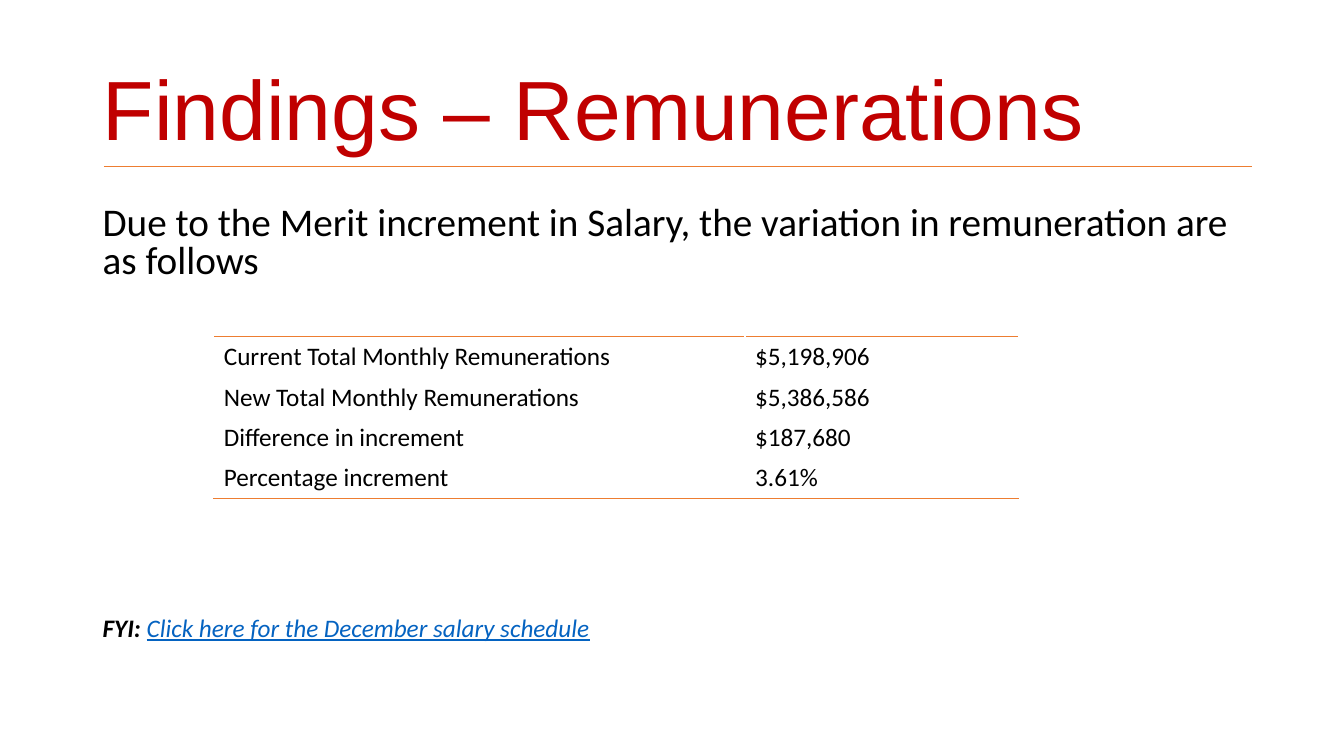
from lxml.etree import SubElement
from pptx import Presentation
from pptx.dml.color import RGBColor
from pptx.enum.shapes import MSO_CONNECTOR as Connector
from pptx.enum.text import MSO_ANCHOR as Anchor, MSO_AUTO_SIZE as AutoSize, PP_ALIGN as Align
from pptx.oxml import parse_xml
from pptx.oxml.ns import nsdecls, qn
from pptx.util import Inches, Pt

ORANGE = "ED7D31"
BODY = {"name": "Calibri", "size": Pt(18), "color": "000000"}
LEAD = BODY | {"size": Pt(28)}
HEADING = {"name": "Arial", "size": Pt(60), "color": "C00000", "bold": False}
FYI = BODY | {"bold": True, "italic": True}
SCHEDULE = BODY | {"color": "0563C1", "italic": True, "underline": True}


def rgb(value):
    return RGBColor.from_string(value)


def set_format(target, values):
    for key, value in values.items():
        if key == "color":
            target.color.rgb = rgb(value)
        else:
            setattr(target, key, value)


class SlideBuilder:
    def __init__(self, deck):
        self.slide = deck.slides.add_slide(deck.slide_layouts[5])

    def add_runs(self, paragraph, runs, **layout):
        set_format(paragraph, {"alignment": Align.LEFT} | layout)
        for wording, style in runs:
            run = paragraph.add_run()
            run.text = wording
            set_format(run.font, style)

    def title(self, wording, box):
        heading = self.slide.shapes.title
        set_format(heading, dict(zip(("left", "top", "width", "height"), map(Inches, box))))
        set_format(heading.text_frame, {"vertical_anchor": Anchor.MIDDLE, "word_wrap": True,
                                        "auto_size": AutoSize.NONE})
        self.add_runs(heading.text_frame.paragraphs[0], [(wording, HEADING)], line_spacing=0.9)

    def text(self, paragraphs, box):
        frame = self.slide.shapes.add_textbox(*map(Inches, box)).text_frame
        frame.word_wrap = True
        for index, (runs, gap) in enumerate(paragraphs):
            paragraph = frame.add_paragraph() if index else frame.paragraphs[0]
            self.add_runs(paragraph, runs, line_spacing=0.8, space_before=Pt(gap))

    def rule(self, left, right, top):
        rule = self.slide.shapes.add_connector(
            Connector.STRAIGHT, *map(Inches, (left, top, right, top)))
        set_format(rule.line, {"width": Pt(0.5), "color": ORANGE})
        SubElement(rule._element.spPr, qn("a:effectLst"))

    def border(self, cell, side):
        cell._tc.get_or_add_tcPr().insert(0, parse_xml(
            f'<a:ln{side} {nsdecls("a")} w="{Pt(1)}"><a:solidFill>'
            f'<a:srgbClr val="{ORANGE}"/></a:solidFill></a:ln{side}>'))

    def table(self, rows, widths, left, top, row_height):
        table = self.slide.shapes.add_table(
            len(rows), len(widths),
            *map(Inches, (left, top, sum(widths), row_height * len(rows)))).table
        set_format(table, {"first_row": False, "horz_banding": False})
        for column, width in zip(table.columns, widths):
            column.width = Inches(width)
        for row_index, row in enumerate(rows):
            for column_index, wording in enumerate(row):
                cell = table.cell(row_index, column_index)
                cell.vertical_anchor = Anchor.MIDDLE
                cell.fill.background()
                self.add_runs(cell.text_frame.paragraphs[0], [(wording, BODY)])
                if row_index == 0:
                    self.border(cell, "T")
                if row_index == len(rows) - 1:
                    self.border(cell, "B")


deck = Presentation()
set_format(deck, {"slide_width": Inches(13.33), "slide_height": Inches(7.5)})

findings = SlideBuilder(deck)
findings.title("Findings – Remunerations", (0.92, 0.4, 11.5, 1.45))
findings.text([
    ([("Due to the Merit increment in Salary, the variation in remuneration are as follows",
       LEAD)], 0),
    ([("FYI: ", FYI), ("Click here for the December salary schedule", SCHEDULE)], 240),
], (0.92, 2, 11.5, 4.76))
findings.rule(1.03, 12.42, 1.65)
findings.table([
    ("Current Total Monthly Remunerations", "$5,198,906"),
    ("New Total Monthly Remunerations", "$5,386,586"),
    ("Difference in increment", "$187,680"),
    ("Percentage increment", "3.61%"),
], (5.27, 2.71), 2.12, 3.34, 0.4)

deck.save("out.pptx")
